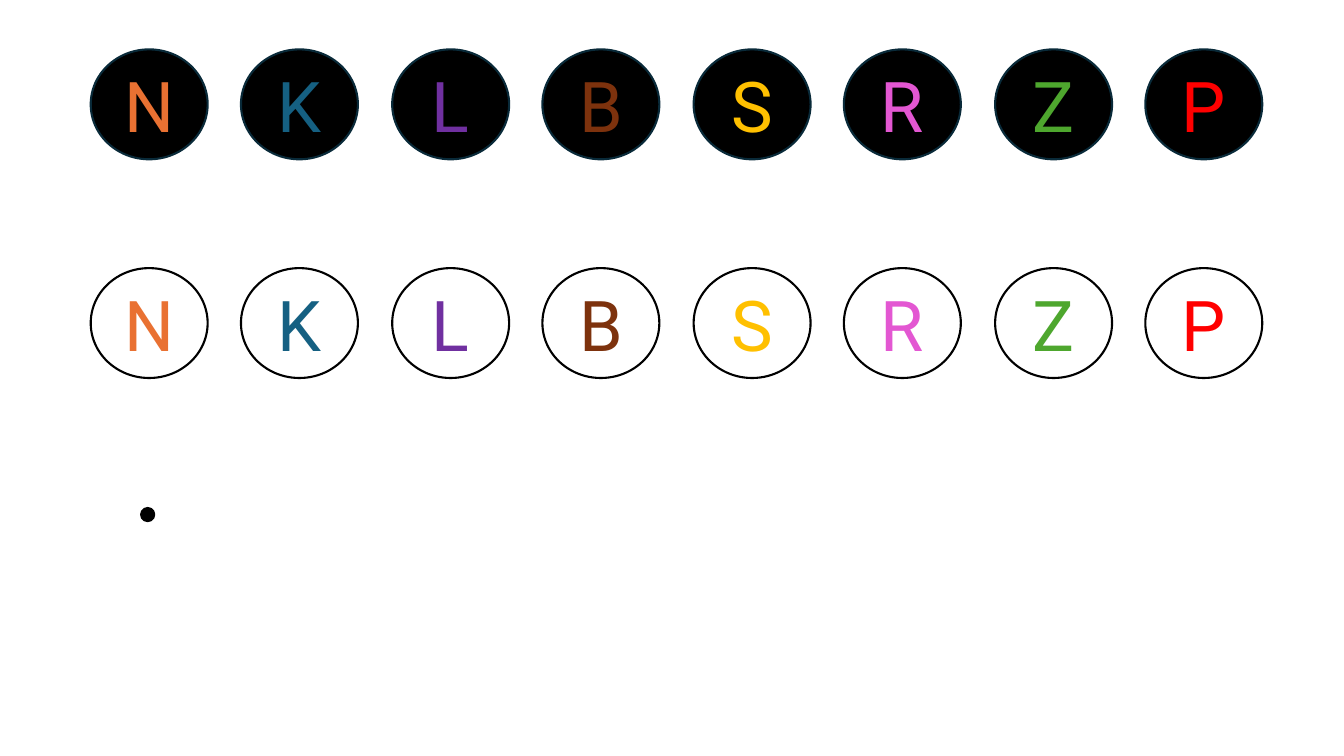
from dataclasses import dataclass

from pptx import Presentation
from pptx import util as u
from pptx.dml.color import RGBColor
from pptx.enum import shapes, text

PX = 9144
LEFT, SPAN = 90, 1046
DISC_W, DISC_H = 116, 109
DOT = 13


@dataclass(frozen=True)
class Letter:
    char: str
    color: str


@dataclass(frozen=True)
class Row:
    top: int
    fill: str
    line: str


LETTERS = [
    Letter("N", "E97132"),
    Letter("K", "156082"),
    Letter("L", "7030A0"),
    Letter("B", "7D320D"),
    Letter("S", "FFC000"),
    Letter("R", "E357D2"),
    Letter("Z", "4EA72E"),
    Letter("P", "FF0000"),
]
ROWS = [Row(49, "000000", "092A39"), Row(266, "FFFFFF", "000000")]


def px(n: int) -> u.Emu:
    return u.Emu(n * PX)


def rgb(color: str) -> RGBColor:
    return RGBColor.from_string(color)


def add_ellipse(s, x: int, y: int, w: int, h: int, fill: str, line: str):
    sp = s.shapes.add_shape(shapes.MSO_SHAPE.OVAL, px(x), px(y), px(w), px(h))
    sp.shadow.inherit = False
    sp.fill.solid()
    sp.fill.fore_color.rgb = rgb(fill)
    sp.line.color.rgb = rgb(line)
    sp.line.width = u.Pt(1.5)
    return sp


def set_text(sp, value: str, *, color: str, size: int = 50, font: str = "Roboto") -> None:
    tf = sp.text_frame
    tf.vertical_anchor = text.MSO_ANCHOR.MIDDLE
    p = tf.paragraphs[0]
    p.alignment = text.PP_ALIGN.CENTER
    r = p.add_run()
    r.text = value
    r.font.name = font
    r.font.size = u.Pt(size)
    r.font.color.rgb = rgb(color)


def add_row(s, row: Row) -> None:
    for i, letter in enumerate(LETTERS):
        x = LEFT + round(i * SPAN / (len(LETTERS) - 1))
        sp = add_ellipse(s, x, row.top, DISC_W, DISC_H, row.fill, row.line)
        set_text(sp, letter.char, color=letter.color)


def main() -> None:
    prs = Presentation()
    prs.slide_width, prs.slide_height = px(1333), px(750)
    s = prs.slides.add_slide(prs.slide_layouts[6])
    for row in ROWS:
        add_row(s, row)
    add_ellipse(s, 140, 504, DOT, DOT, "000000", "000000")
    prs.save("out.pptx")


if __name__ == "__main__":
    main()
